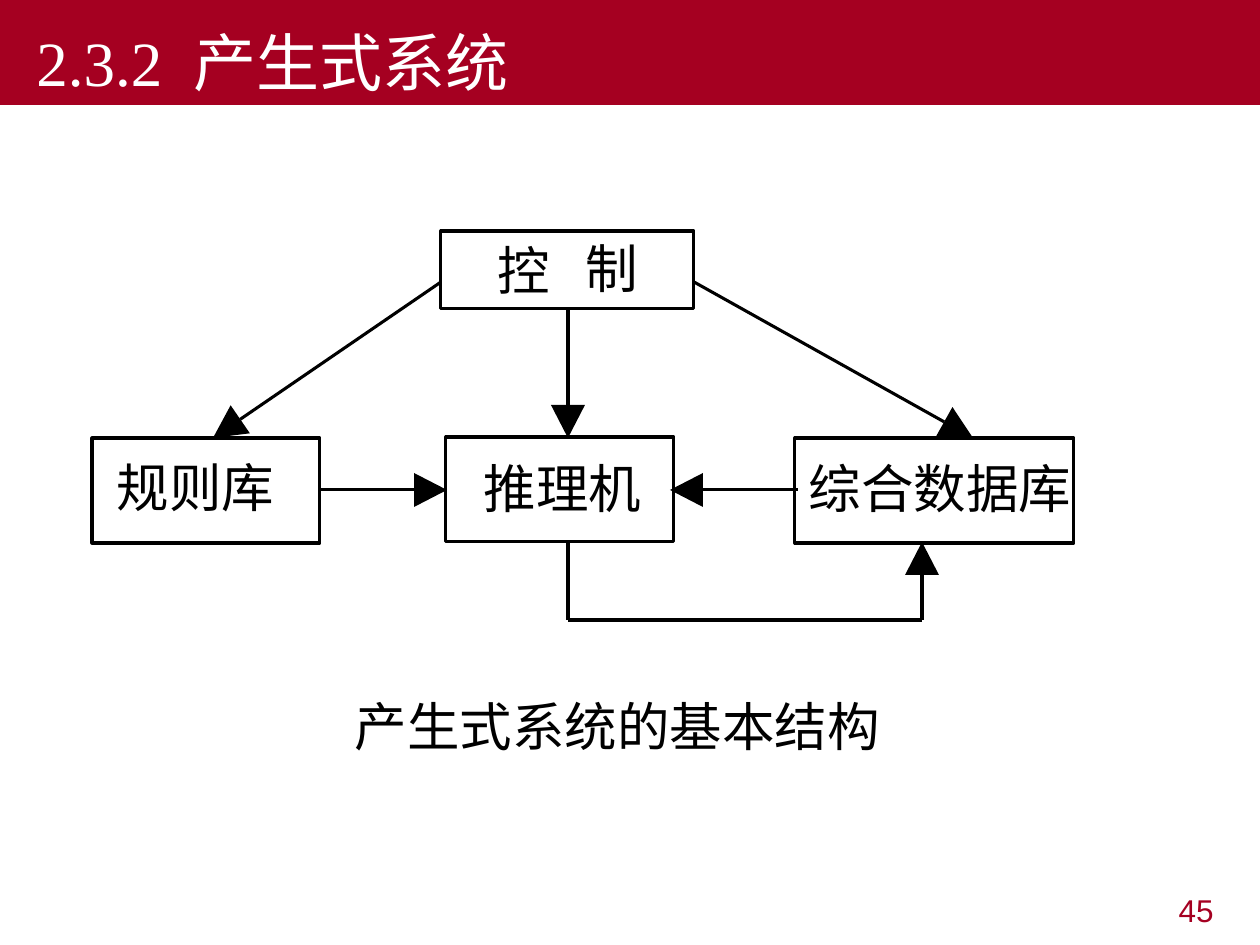
from dataclasses import dataclass
from math import hypot

from lxml import etree
from pptx import Presentation
from pptx.dml.color import RGBColor
from pptx.enum.shapes import MSO_CONNECTOR, MSO_SHAPE
from pptx.enum.text import MSO_ANCHOR, PP_ALIGN
from pptx.oxml.ns import qn
from pptx.util import Emu, Pt

RECTANGLE = MSO_SHAPE.RECTANGLE
STRAIGHT = MSO_CONNECTOR.STRAIGHT
TOP, MIDDLE, BOTTOM = MSO_ANCHOR.TOP, MSO_ANCHOR.MIDDLE, MSO_ANCHOR.BOTTOM
LEFT, RIGHT = PP_ALIGN.LEFT, PP_ALIGN.RIGHT
EMU_PER_PX = 914400 / 126


@dataclass(frozen=True)
class Theme:
    accent: RGBColor = RGBColor(0xA5, 0x00, 0x21)
    ink: RGBColor = RGBColor(0, 0, 0)
    paper: RGBColor = RGBColor(0xFF, 0xFF, 0xFF)
    title_font: str = "Times New Roman"
    label_font: str = "Noto Sans CJK SC"
    number_font: str = "Arial"
    title_size: int = 36
    label_size: int = 30
    number_size: int = 18
    line_width: float = 1.75
    head_length: int = 33
    head_half_width: int = 17


def px(length):
    return Emu(round(length * EMU_PER_PX))


class DiagramSlide:
    def __init__(self, page, theme):
        self.shapes = page.shapes
        self.theme = theme

    def set_text(self, shape, text, font, size, color, align=LEFT, anchor=TOP):
        frame = shape.text_frame
        frame.vertical_anchor = anchor
        para = frame.paragraphs[0]
        para.text = text
        para.alignment = align
        para.font.size = Pt(size)
        para.font.color.rgb = color
        para.font.name = font
        return para

    def title_bar(self, text, width, height, indent):
        bar = self.shapes.add_shape(RECTANGLE, 0, 0, px(width), px(height))
        bar.shadow.inherit = False
        bar.fill.solid()
        bar.fill.fore_color.rgb = self.theme.accent
        bar.line.fill.background()
        para = self.set_text(bar, text, self.theme.title_font, self.theme.title_size,
                             self.theme.paper, anchor=BOTTOM)
        para._p.get_or_add_pPr().set("indent", str(px(indent)))

    def page_number(self, text, left, top, width, height):
        box = self.shapes.add_textbox(px(left), px(top), px(width), px(height))
        box.text_frame.word_wrap = True
        self.set_text(box, text, self.theme.number_font, self.theme.number_size,
                      self.theme.accent, align=RIGHT)

    def frame(self, left, top, width, height):
        box = self.shapes.add_shape(RECTANGLE, px(left), px(top), px(width), px(height))
        box.shadow.inherit = False
        box.fill.background()
        box.line.color.rgb = self.theme.ink
        box.line.width = Pt(self.theme.line_width)

    def label(self, text, left, top):
        size = Pt(self.theme.label_size)
        box = self.shapes.add_textbox(px(left), px(top), size * len(text), round(size * 1.2))
        frame = box.text_frame
        frame.word_wrap = False
        frame.margin_left = frame.margin_right = frame.margin_top = frame.margin_bottom = 0
        para = self.set_text(box, text, self.theme.label_font, self.theme.label_size,
                             self.theme.ink, anchor=MIDDLE)
        # East Asian characters take their typeface from a:ea
        style = para._p.pPr.find(qn("a:defRPr"))
        etree.SubElement(style, qn("a:ea")).set("typeface", self.theme.label_font)

    def line(self, start, end, shapes=None):
        shapes = self.shapes if shapes is None else shapes
        line = shapes.add_connector(STRAIGHT, *map(px, start + end))
        line.line.color.rgb = self.theme.ink
        line.line.width = Pt(self.theme.line_width)
        etree.SubElement(line._element.spPr, qn("a:effectLst"))

    def arrow(self, start, tip):
        """Group a shaft with a triangular head pointing along it."""
        group = self.shapes.add_group_shape()
        run, rise = tip[0] - start[0], tip[1] - start[1]
        length = hypot(run, rise)
        along_x, along_y = run / length, rise / length
        base_x = tip[0] - along_x * self.theme.head_length
        base_y = tip[1] - along_y * self.theme.head_length
        self.line(start, (base_x, base_y), group.shapes)

        half = self.theme.head_half_width
        corners = [(base_x - side * along_y * half, base_y + side * along_x * half)
                   for side in (1, -1)]
        outline = group.shapes.build_freeform(*map(px, tip))
        outline.add_line_segments([tuple(map(px, corner)) for corner in corners])
        head = outline.convert_to_shape()
        head.shadow.inherit = False
        head.fill.solid()
        head.fill.fore_color.rgb = self.theme.ink
        head.line.fill.background()


def main():
    deck = Presentation()
    deck.slide_width, deck.slide_height = px(1260), px(945)
    page = deck.slides.add_slide(deck.slide_layouts[6])
    slide = DiagramSlide(page, Theme())

    # Page furniture
    slide.page_number("45", 932, 885, 294, 66)
    slide.title_bar("2.3.2  产生式系统", 1260, 105, 24)

    # Components of the production system
    for bounds in ((441, 231, 253, 78), (92, 438, 228, 105),
                   (446, 437, 228, 105), (795, 438, 279, 105)):
        slide.frame(*bounds)
    for text, left, top in (("控", 497, 238), ("制", 586, 236),
                            ("规则库", 117, 455), ("推理机", 484, 456),
                            ("综合数据库", 809, 456)):
        slide.label(text, left, top)

    # Control flow, then data flow into the inference engine
    for start, tip in (((568, 309), (568, 438)), ((441, 282), (213, 438)),
                       ((694, 282), (973, 438)), ((320, 490), (447, 490)),
                       ((798, 490), (670, 490))):
        slide.arrow(start, tip)

    # Feedback from the engine to the database
    below_engine, below_database = (568, 620), (922, 620)
    slide.line((568, 542), below_engine)
    slide.line(below_engine, below_database)
    slide.arrow(below_database, (922, 542))

    # Caption
    slide.label("产生式系统的基本结构", 355, 694)

    deck.save("out.pptx")


if __name__ == "__main__":
    main()
